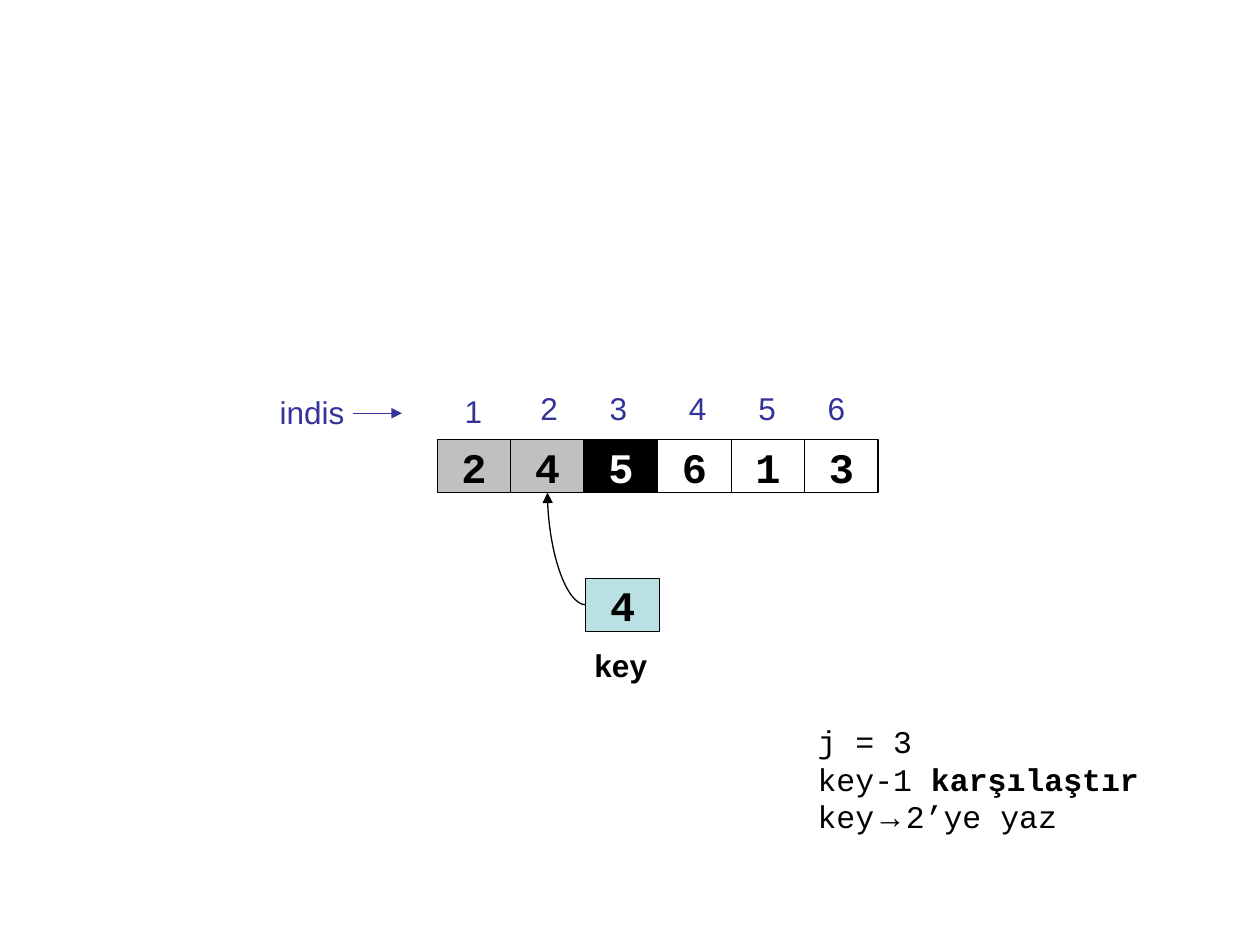
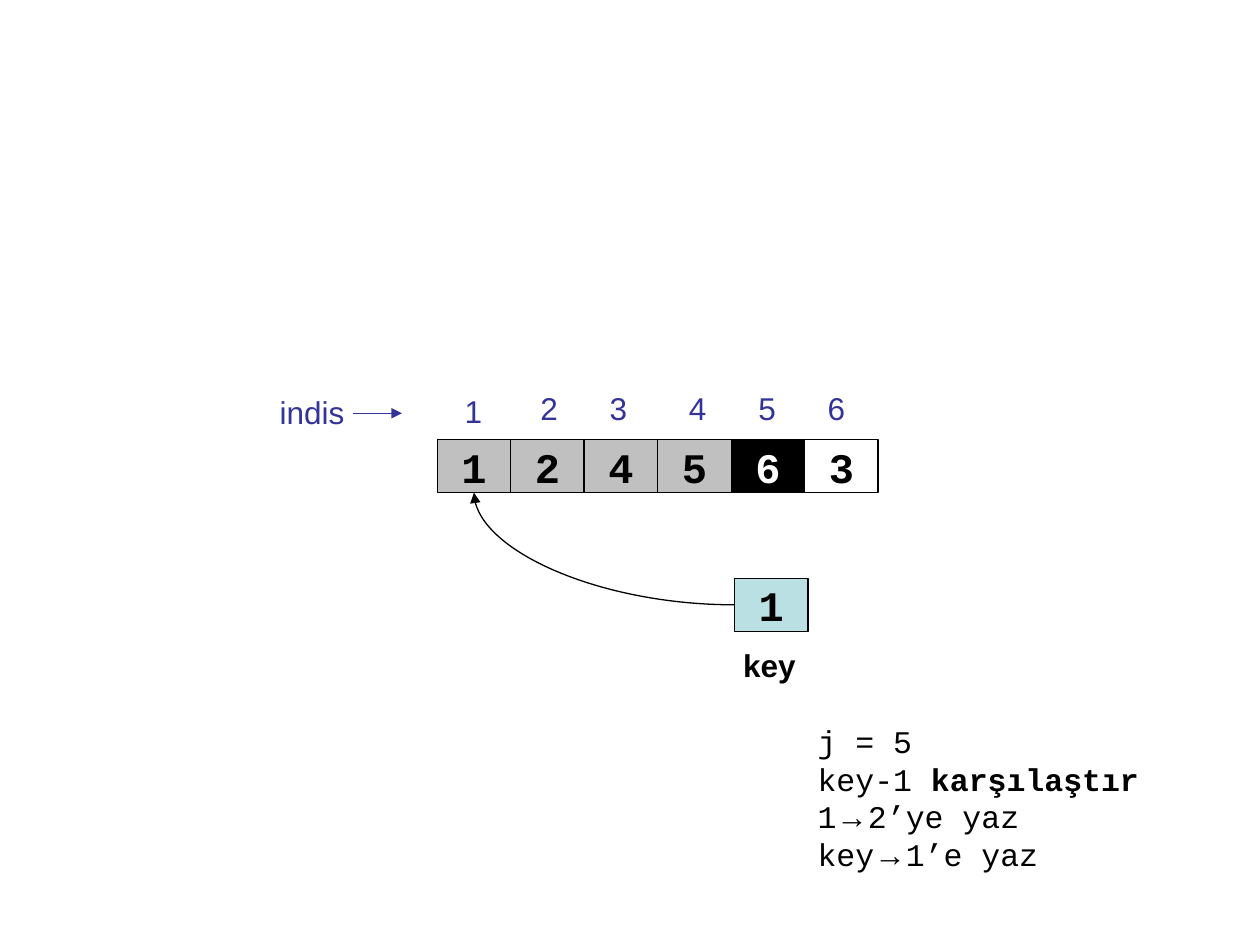
"""Build two insertion sort steps: the array, its indices, the key and its move."""
from pptx import Presentation
from pptx.dml.color import RGBColor as Rgb
from pptx.enum.shapes import MSO_CONNECTOR as Link, MSO_SHAPE as Kind
from pptx.enum.text import MSO_ANCHOR as Anchor, MSO_AUTO_SIZE as Fit, PP_ALIGN as Align
from pptx.oxml.ns import qn
from pptx.oxml.xmlchemy import OxmlElement as Tag
from pptx.util import Inches, Pt

HUE = {"ink": "000000", "paper": "FFFFFF", "done": "C0C0C0", "key": "BBE0E3", "index": "333399"}
MONO, SANS = "Courier New", "Arial"
LEFT, TOP, HIGH = 3.47, 3.49, 0.42
WIDE = 3.5 / 6
KEY_TOP = 4.59
MARKS = [(3.59, 3.06), (4.19, 3.04), (4.74, 3.04), (5.37, 3.04), (5.92, 3.04), (6.47, 3.04)]
CHECK = [("key-1 ", {}), ("karşılaştır", {"bold": True})]
STEPS = [
    {"cells": "245613", "last": 2, "goal": 1, "key": "4", "left": 4.65, "high": 1.0,
     "note": ["j = 3", CHECK, "key→2’ye yaz"]},
    {"cells": "124563", "last": 4, "goal": 0, "key": "1", "left": 5.83, "high": 1.3,
     "note": ["j = 5", CHECK, "1→2’ye yaz", "key→1’e yaz"]},
]


def put(page, lines, x, y, w, h, fill=None, font=SANS, size=18, color="ink", bold=False):
    """Add a text box, or a filled cell with centred text."""
    box = [Inches(n) for n in (x, y, w, h)]
    if fill:
        item = page.shapes.add_shape(Kind.RECTANGLE, *box)
        item.shadow.inherit = False
        item.fill.solid()
        item.fill.fore_color.rgb = Rgb.from_string(HUE[fill])
        item.line.color.rgb = Rgb.from_string(HUE["ink"])
        item.line.width = Pt(0.75)
    else:
        item = page.shapes.add_textbox(*box)
    frame = item.text_frame
    frame.word_wrap = False
    frame.auto_size = Fit.NONE if fill else Fit.SHAPE_TO_FIT_TEXT
    frame.vertical_anchor = Anchor.MIDDLE if fill else Anchor.TOP
    for i, line in enumerate(lines):
        para = frame.add_paragraph() if i else frame.paragraphs[0]
        para.alignment = Align.CENTER if fill else Align.LEFT
        if isinstance(line, str):
            head, sign, tail = line.partition("→")
            line = [(head, {}), (sign, {"font": SANS}), (tail, {})]
        for text, own in line:
            if text:
                run = para.add_run()
                run.text = text
                run.font.name = own.get("font", font)
                run.font.size = Pt(size)
                run.font.bold = own.get("bold", bold)
                run.font.color.rgb = Rgb.from_string(HUE[color])


def draw(page, kind, x, y, to_x, to_y, color):
    """Add a thin connector with an arrowhead at its end."""
    wire = page.shapes.add_connector(kind, *[Inches(n) for n in (x, y, to_x, to_y)])
    wire.line.color.rgb = Rgb.from_string(HUE[color])
    wire.line.width = Pt(0.75)
    tip = Tag("a:tailEnd")
    tip.set("type", "triangle")
    wire.line._get_or_add_ln().append(tip)
    props = wire._element.spPr
    props.append(Tag("a:effectLst"))
    return props


deck = Presentation()
deck.slide_width, deck.slide_height = Inches(10), Inches(7.5)

for step in STEPS:
    page = deck.slides.add_slide(deck.slide_layouts[6])
    for i, digit in enumerate(step["cells"]):
        last = i == step["last"]
        fill = "ink" if last else "done" if i < step["last"] else "paper"
        put(page, [digit], LEFT + i * WIDE, TOP, WIDE, HIGH, fill=fill, font=MONO,
            size=24, color="paper" if last else "ink", bold=True)

    put(page, ["indis"], 2.12, 3.07, 0.75, 0.4, color="index")
    put(page, step["note"], 6.39, 5.68, 2.78, step["high"], font=MONO)
    for i, (x, y) in enumerate(MARKS, 1):
        put(page, [str(i)], x, y, 0.34, 0.4, color="index")
    draw(page, Link.STRAIGHT, 2.8, 3.28, 3.19, 3.28, "index")

    x = step["left"]
    put(page, [step["key"]], x, KEY_TOP, WIDE, HIGH, fill="key", font=MONO, size=24, bold=True)
    put(page, ["key"], x - 0.03, 5.08, 0.66, 0.4, bold=True)
    goal = LEFT + (step["goal"] + 0.5) * WIDE
    props = draw(page, Link.CURVE, goal, TOP + HIGH, x, KEY_TOP + HIGH / 2, "ink")
    props.find(qn("a:xfrm")).set("rot", "10800000")
    props.find(qn("a:prstGeom")).set("prst", "curvedConnector2")

deck.save("out.pptx")
